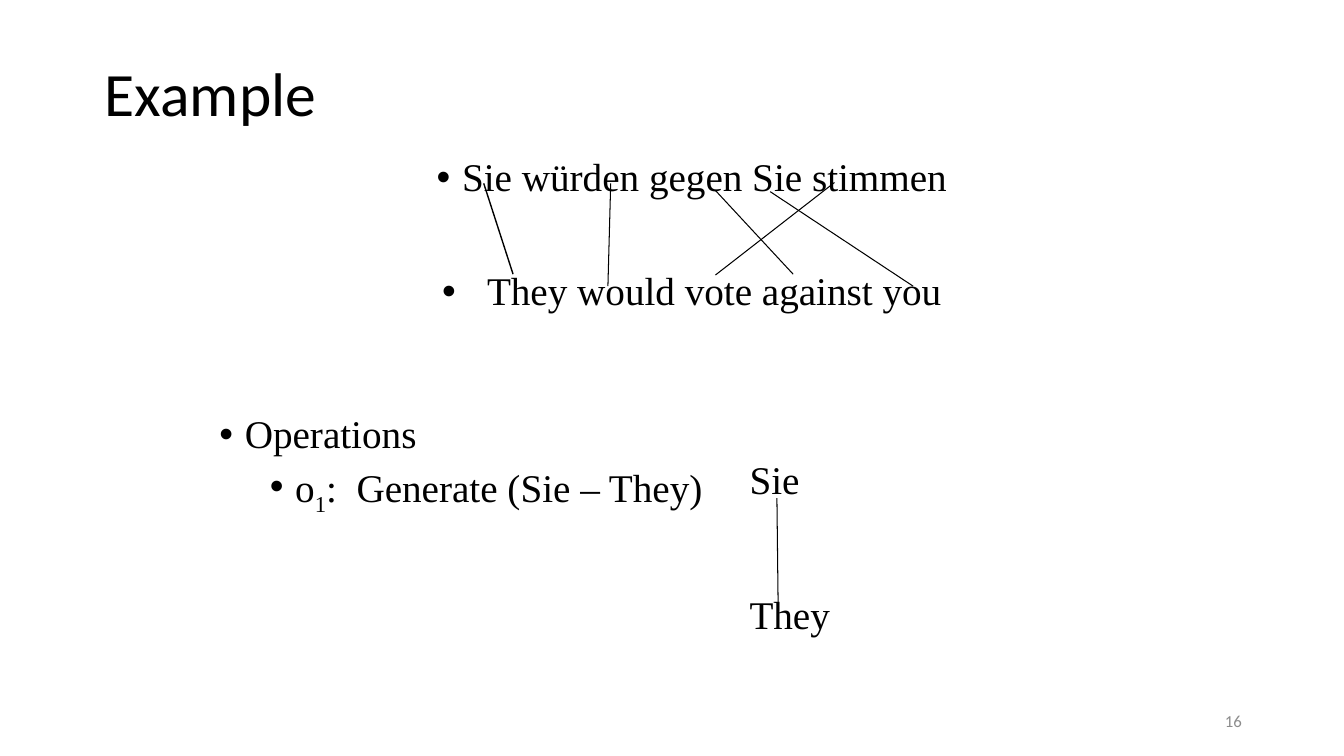
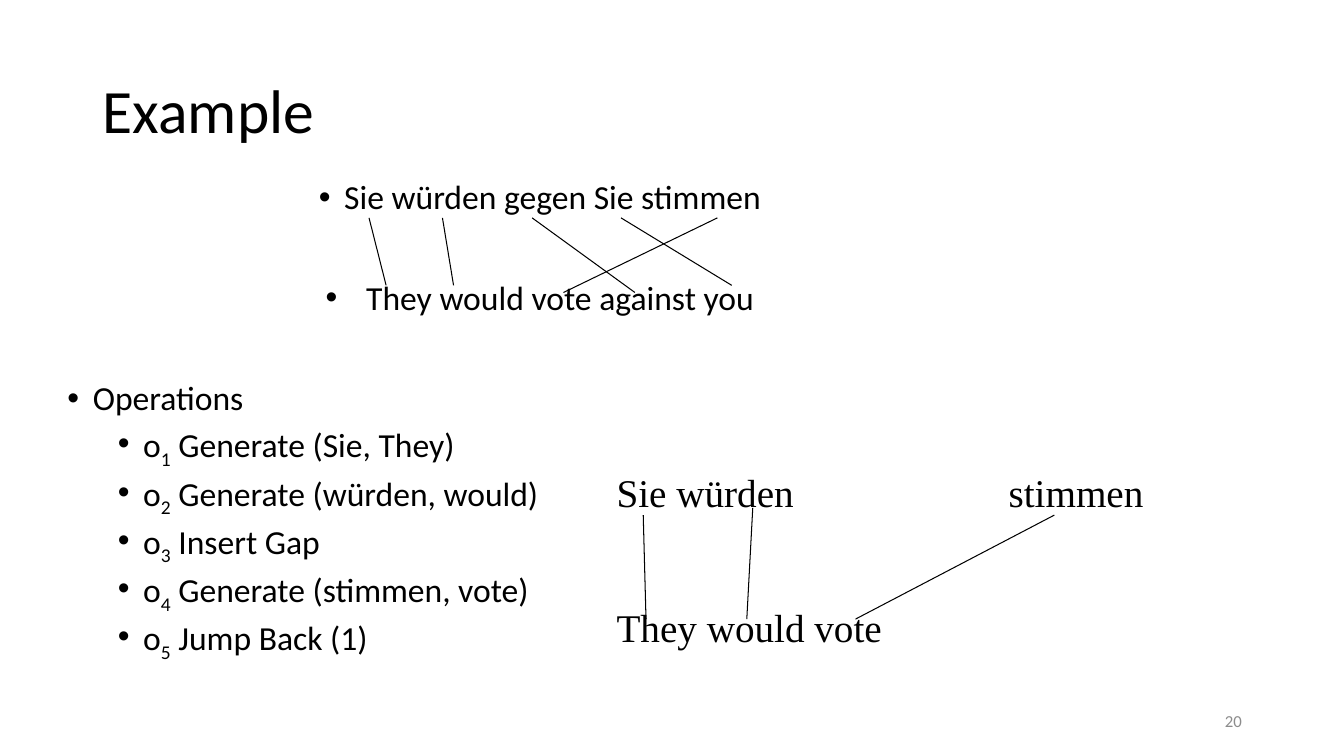
from dataclasses import dataclass

from lxml import etree
from pptx import Presentation
from pptx.dml.color import RGBColor
from pptx.enum.shapes import MSO_CONNECTOR
from pptx.enum.text import MSO_ANCHOR, PP_ALIGN
from pptx.oxml.ns import qn
from pptx.util import Cm, Pt

LEFT, MID, RIGHT = PP_ALIGN.LEFT, PP_ALIGN.CENTER, PP_ALIGN.RIGHT
TOP, CENTER = MSO_ANCHOR.TOP, MSO_ANCHOR.MIDDLE
LINE = MSO_CONNECTOR.STRAIGHT


@dataclass(frozen=True)
class Theme:
    ink: RGBColor = RGBColor(0, 0, 0)
    gray: RGBColor = RGBColor(0x8C, 0x8C, 0x8C)
    sans: str = "Calibri"
    serif: str = "Times New Roman"
    head: int = 44
    large: int = 28
    text: int = 24
    small: int = 12
    rule: float = 0.75
    tight: float = 0.9
    hang: float = 0.64
    step: float = 1.27


THEME = Theme()


def put(item, form):
    """Set each attribute of item from a dict of format values."""
    for name, value in form.items():
        setattr(item, name, value)


# Text parts
def add_box(slide, area, anchor=TOP):
    frame = slide.shapes.add_textbox(*map(Cm, area)).text_frame
    put(frame, {"word_wrap": True, "vertical_anchor": anchor})
    return frame


def add_para(frame, text, font, size, color=THEME.ink, **form):
    """Add one paragraph; text between underscores is set as subscript."""
    para = frame.paragraphs[0]
    if para.runs:
        para = frame.add_paragraph()
    put(para, form)
    for i, part in enumerate(text.split("_")):
        run = para.add_run()
        run.text = part
        put(run.font, {"name": font, "size": Pt(size)})
        run.font.color.rgb = color
        if i % 2:
            run.font._element.set("baseline", "-25000")
    return para


def add_bullet(para, left, hang):
    props = para._p.get_or_add_pPr()
    props.set("marL", str(Cm(left)))
    props.set("indent", str(-Cm(hang)))
    etree.SubElement(props, qn("a:buFont"), typeface="Arial")
    etree.SubElement(props, qn("a:buChar"), char="•")


def add_tab(para, stop):
    tabs = etree.SubElement(para._p.get_or_add_pPr(), qn("a:tabLst"))
    etree.SubElement(tabs, qn("a:tab"), pos=str(Cm(stop)), algn="l")


# Slide parts
def add_frame(slide, area, number):
    """Title and page number."""
    add_para(add_box(slide, area, CENTER), "Example", THEME.sans, THEME.head,
             line_spacing=THEME.tight)
    add_para(add_box(slide, (23.93, 17.65, 7.62, 1.02), CENTER), number,
             THEME.sans, THEME.small, THEME.gray, alignment=RIGHT)


def add_body(slide, area, font, size, shift, gaps, steps):
    """Sentence pair, then the list of operations."""
    frame = add_box(slide, area)
    hang = THEME.hang
    rows = [
        ("Sie würden gegen Sie stimmen", MID, 10, hang, hang),
        ("They would vote against you", MID, gaps[0], hang + shift, hang + shift),
        ("Operations", LEFT, gaps[1], hang, hang),
    ]
    rows += [(step, LEFT, 5, hang + THEME.step, hang) for step in steps]
    for text, align, gap, left, inset in rows:
        para = add_para(frame, text, font, size, alignment=align,
                        line_spacing=THEME.tight, space_before=Pt(gap))
        add_bullet(para, left, inset)


def add_pair(slide, area, upper, lower, stop=None):
    """Partial translation: source words above target words."""
    frame = add_box(slide, area)
    first = add_para(frame, upper, THEME.serif, THEME.large)
    if stop:
        add_tab(first, stop)
    add_para(frame, lower, THEME.serif, THEME.large, space_before=Pt(63))


def add_links(slide, links, width=THEME.rule):
    for ends in links:
        link = slide.shapes.add_connector(LINE, *map(Cm, ends))
        link.line.color.rgb = THEME.ink
        link.line.width = Pt(width)
        etree.SubElement(link._element.spPr, qn("a:effectLst"))


def span(top, ends):
    """Give links that start at one height their full end points."""
    return [(x, top, to, low) for x, to, low in ends]


# Slides
def first_step(slide):
    add_frame(slide, (2.39, 1.02, 29.16, 2.84), "16")
    add_body(slide, (5.28, 3.86, 24.31, 12.67), THEME.serif, THEME.large,
             0.49, (51, 72), ["o_1_:  Generate (Sie – They)"])
    add_pair(slide, (18.64, 11.35, 9.96, 5.03), "Sie", "They")
    add_links(slide, [(12.19, 4.62, 12.93, 6.91)], 1)
    add_links(slide, [
        (21.03, 4.6, 18.03, 6.93),
        (18.03, 4.8, 19.99, 6.91),
        (19.41, 4.83, 23.01, 7.21),
        (15.39, 4.62, 15.32, 7.21),
        (19.58, 12.55, 19.61, 15.29),
    ])


def fifth_step(slide):
    add_frame(slide, (2.34, 1.02, 29.21, 3.68), "20")
    steps = ["Generate (Sie, They)", "Generate (würden, would)", "Insert Gap",
             "Generate (stimmen, vote)", "Jump Back (1)"]
    add_body(slide, (1.45, 4.42, 24.31, 12.67), THEME.sans, THEME.text,
             0.38, (46, 46),
             [f"o_{i}_ {step}" for i, step in enumerate(steps, 1)])
    add_links(slide, span(5.49, [
        (13.41, 16, 7.37),
        (15.65, 18.44, 7.19),
        (18.08, 14.2, 7.37),
        (9.3, 9.73, 7.19),
        (11.15, 11.43, 7.19),
    ]))
    add_pair(slide, (15.29, 11.68, 16.94, 5.03), "Sie würden\tstimmen",
             "They would vote", 9.88)
    add_links(slide, span(12.98, [(16.21, 16.28, 15.6), (26.57, 21.56, 15.6)]))
    add_links(slide, [(18.97, 12.8, 18.82, 15.6)])


def main():
    deck = Presentation()
    put(deck, {"slide_width": Cm(33.87), "slide_height": Cm(19.05)})
    for draw in (first_step, fifth_step):
        draw(deck.slides.add_slide(deck.slide_layouts[6]))
    deck.save("out.pptx")


if __name__ == "__main__":
    main()
